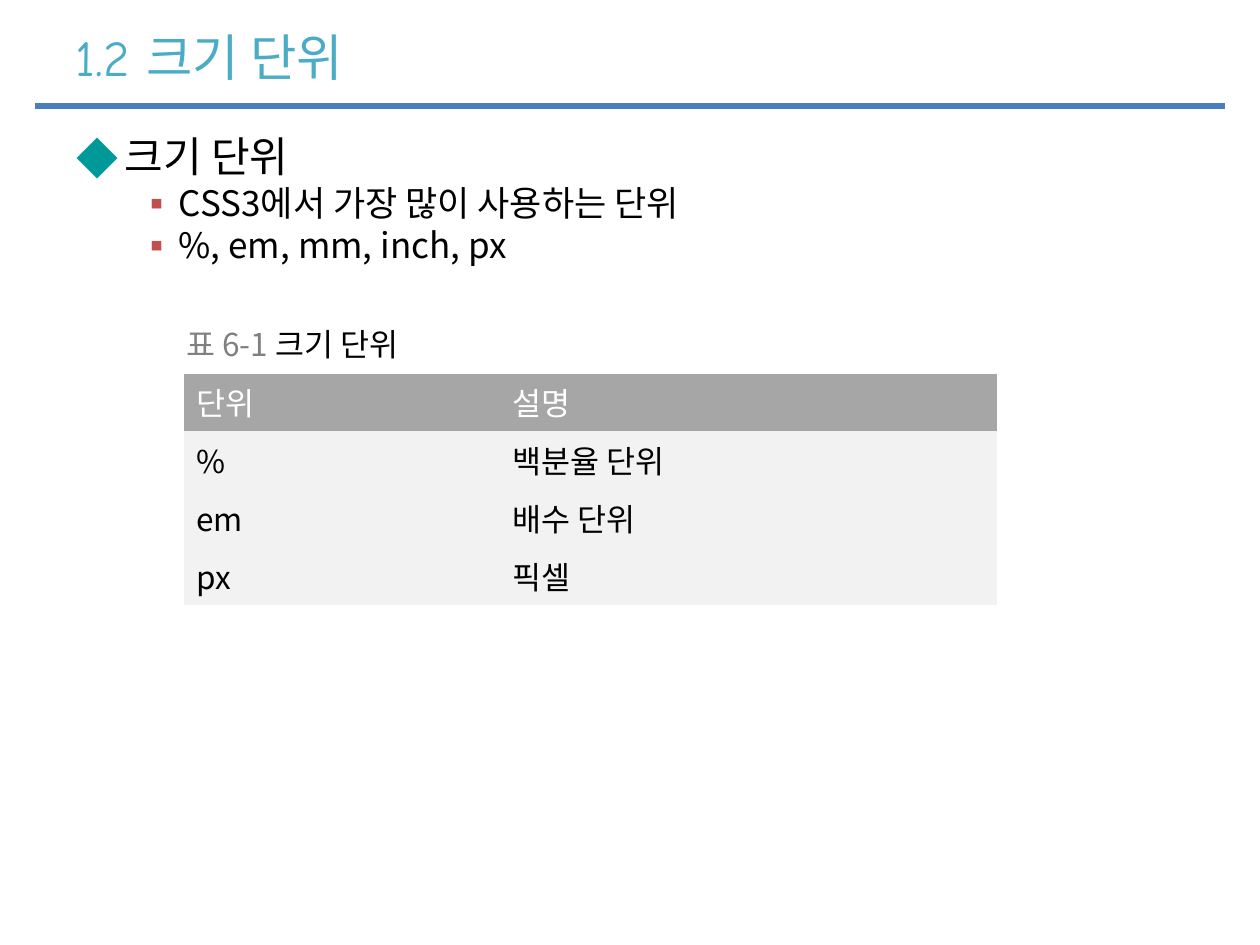
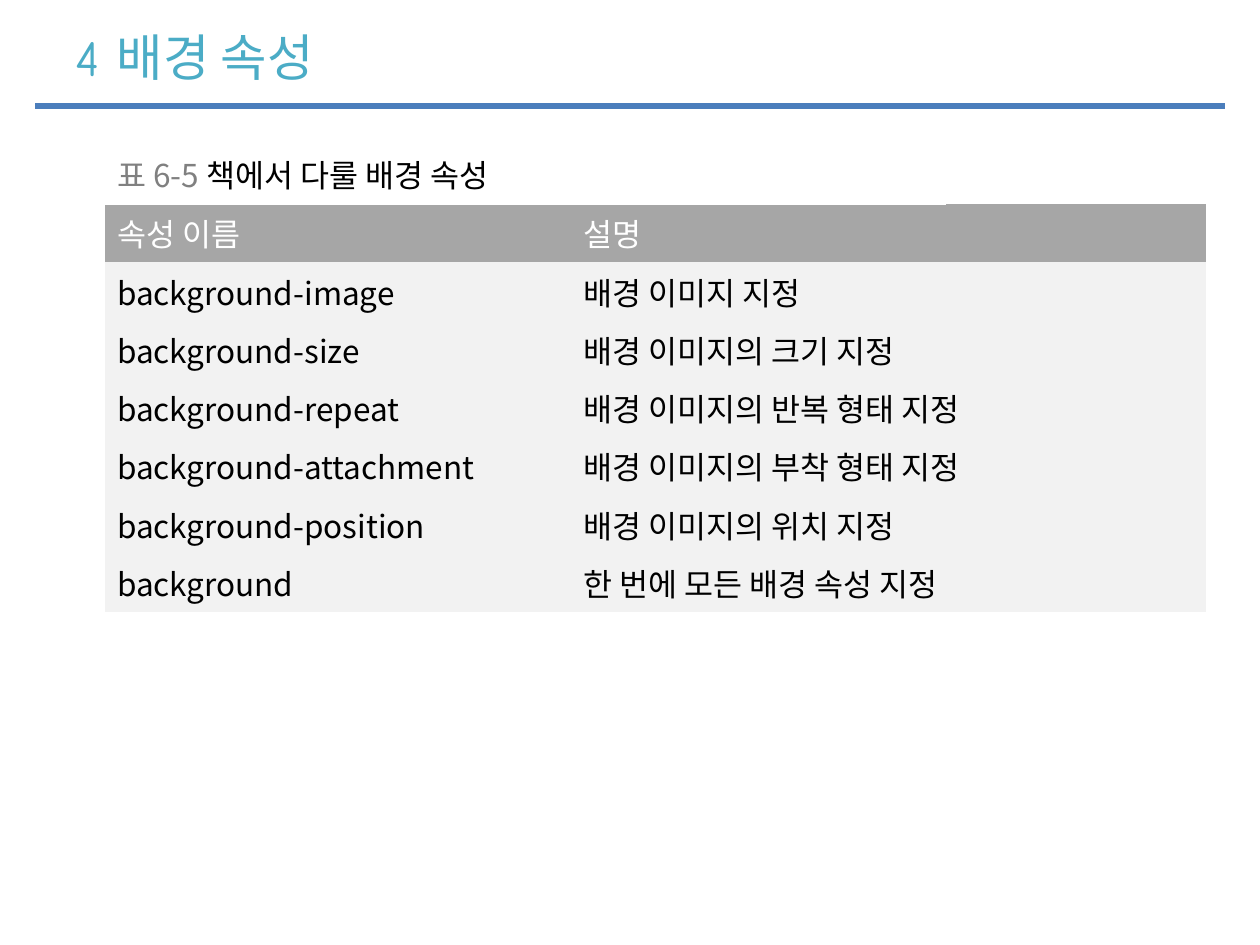
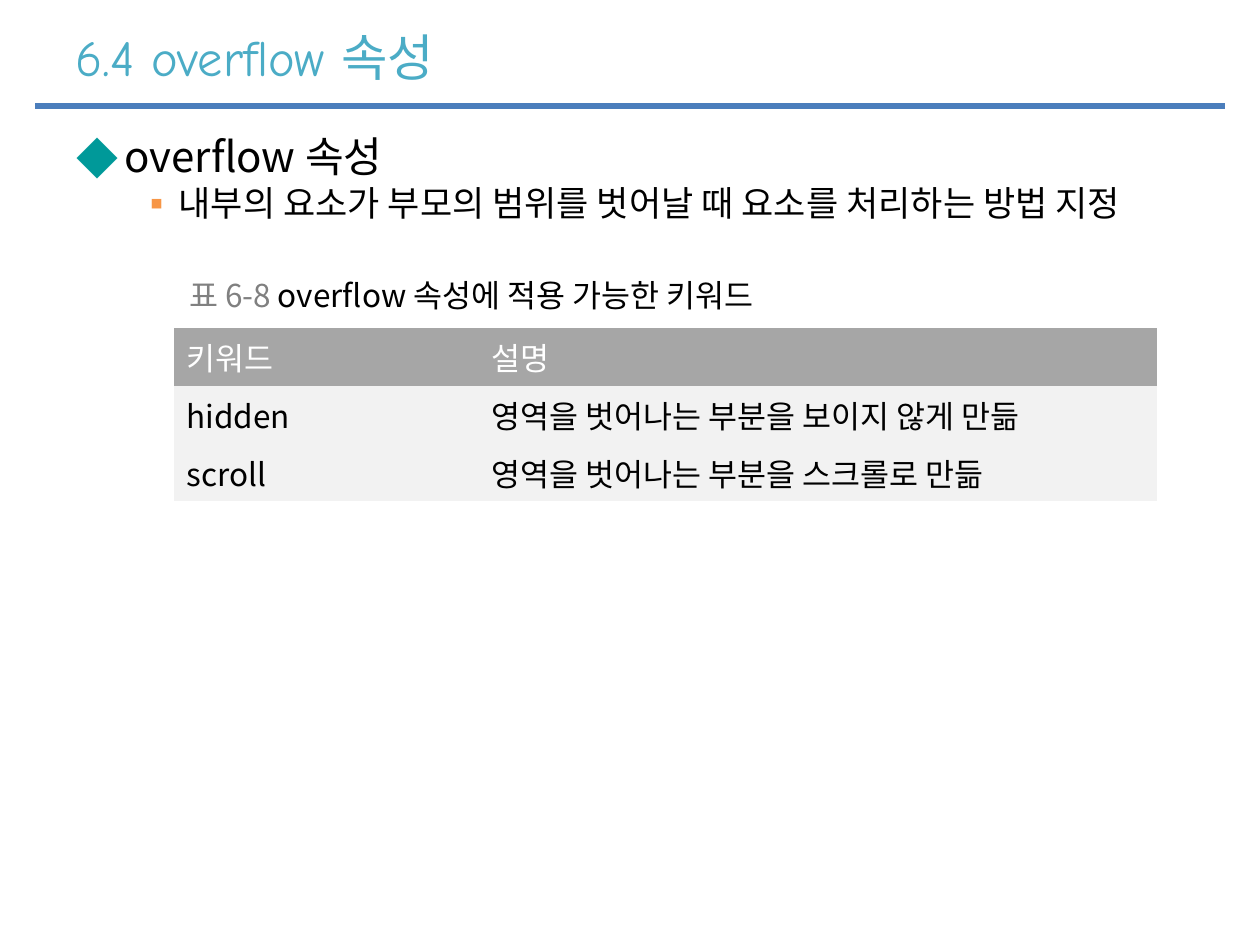
"""Build three slides on CSS units, backgrounds and overflow."""
from lxml.etree import SubElement as Sub
from pptx import Presentation
from pptx.dml.color import RGBColor
from pptx.enum.shapes import MSO_CONNECTOR as Conn
from pptx.enum.text import MSO_ANCHOR as Anchor, MSO_AUTO_SIZE as Fit, PP_ALIGN as Align
from pptx.oxml.ns import qn
from pptx.util import Inches, Pt

WIDE, HIGH = 10, 7.5
HEAD, SANS = "Comic Neue", "Noto Sans CJK KR"
BLUE, CYAN, TEAL = "4B7EBC", "4BACC6", "009999"
RED, ORANGE = "C0504D", "F79646"
BLACK, WHITE, GRAY, BAND, PALE = "000000", "FFFFFF", "808080", "A6A6A6", "F2F2F2"
PLAIN = "{2D5ABB26-0587-4C30-8999-92F81FD0307C}"
ROW = 0.46
EDGES = {"a:lnL": 1, "a:lnR": 1, "a:lnT": 1, "a:lnB": 3}
LEVELS = [("◆", 0.38, -0.38, 24), ("▪", 0.81, -0.31, 20)]

SLIDES = [
    {
        "title": "1.2 크기 단위",
        "points": ["크기 단위", "CSS3에서 가장 많이 사용하는 단위", "%, em, mm, inch, px"],
        "mark": RED,
        "label": ("표 6-1 ", "크기 단위", 1.38, 2.49),
        "at": (1.46, 2.96),
        "cols": (2.51, 3.94),
        "rows": [("단위", "설명"), ("%", "백분율 단위"), ("em", "배수 단위"), ("px", "픽셀")],
    },
    {
        "title": "4 배경 속성",
        "points": [],
        "mark": RED,
        "label": ("표 6-5 ", "책에서 다룰 배경 속성", 0.83, 1.15),
        "at": (0.83, 1.62),
        "cols": (3.7, 5.04),
        "rows": [
            ("속성 이름", "설명"),
            ("background-image", "배경 이미지 지정"),
            ("background-size", "배경 이미지의 크기 지정"),
            ("background-repeat", "배경 이미지의 반복 형태 지정"),
            ("background-attachment", "배경 이미지의 부착 형태 지정"),
            ("background-position", "배경 이미지의 위치 지정"),
            ("background", "한 번에 모든 배경 속성 지정"),
        ],
    },
    {
        "title": "6.4 overflow 속성",
        "points": ["overflow 속성", "내부의 요소가 부모의 범위를 벗어날 때 요소를 처리하는 방법 지정"],
        "mark": ORANGE,
        "label": ("표 6-8 ", "overflow 속성에 적용 가능한 키워드", 1.4, 2.1),
        "at": (1.38, 2.6),
        "cols": (2.42, 5.38),
        "rows": [
            ("키워드", "설명"),
            ("hidden", "영역을 벗어나는 부분을 보이지 않게 만듦"),
            ("scroll", "영역을 벗어나는 부분을 스크롤로 만듦"),
        ],
    },
]


def rgb(code):
    return RGBColor.from_string(code)


def box(*sides):
    return [Inches(side) for side in sides]


def style(para, size, color, face=SANS):
    for run in para.runs:
        run.font.size = Pt(size)
        run.font.name = face
        run.font.color.rgb = rgb(color)
        Sub(run.font._element, qn("a:ea"), typeface=SANS)


def add_rule(slide, layout):
    y = 0.84
    rule = slide.shapes.add_connector(Conn.STRAIGHT, *box(0.28, y, WIDE - 0.28, y))
    rule.line.color.rgb = rgb(BLUE)
    rule.line.width = Pt(3.5)
    Sub(rule.element.spPr, qn("a:effectLst"))
    layout.shapes.element.append(rule.element)


def set_title(slide, text):
    title = slide.shapes.title
    title.left, title.top, title.width, title.height = box(0.5, 0.13, WIDE - 1, 0.63)
    frame = title.text_frame
    frame.text = text
    frame.auto_size = Fit.NONE
    frame.vertical_anchor = Anchor.MIDDLE
    para = frame.paragraphs[0]
    para.alignment = Align.LEFT
    style(para, 28.8, CYAN, HEAD)


def add_points(slide, points, mark):
    frame = slide.shapes.add_textbox(*box(0.51, 0.99, 9.21, 6.3)).text_frame
    frame.word_wrap = True
    frame.text = "\n".join(points)
    for spot, para in enumerate(frame.paragraphs):
        para.level = min(spot, 1)
        sign, left, hang, size = LEVELS[para.level]
        props = para._p.get_or_add_pPr()
        props.set("marL", str(Inches(left)))
        props.set("indent", str(Inches(hang)))
        tint = Sub(props, qn("a:buClr"))
        Sub(tint, qn("a:srgbClr"), val=mark if spot else TEAL)
        Sub(props, qn("a:buFont"), typeface=SANS)
        Sub(props, qn("a:buChar"), char=sign)
        style(para, size, BLACK)


def add_grid(slide, spot, cols, count):
    frame = slide.shapes.add_table(count, len(cols), *box(*spot, sum(cols), count * ROW))
    for tag in frame.element.iter(qn("a:tableStyleId")):
        tag.text = PLAIN
    for col, width in zip(frame.table.columns, cols):
        col.width = Inches(width)
    return frame.table


def paint(cell, color):
    cell.fill.solid()
    cell.fill.fore_color.rgb = rgb(color)


def add_data(slide, spot, cols, rows):
    grid = add_grid(slide, spot, cols, len(rows))
    for y, row in enumerate(rows):
        for x, text in enumerate(row):
            cell = grid.cell(y, x)
            cell.text = text
            paint(cell, PALE if y else BAND)
            style(cell.text_frame.paragraphs[0], 18, BLACK if y else WHITE)


def add_label(slide, tag, text, *spot):
    cell = add_grid(slide, spot, [6.67], 1).cell(0, 0)
    para = cell.text_frame.paragraphs[0]
    para.text = tag
    para.add_run().text = text
    style(para, 18, BLACK)
    para.runs[0].font.color.rgb = rgb(GRAY)
    props = cell._tc.get_or_add_tcPr()
    for edge, width in EDGES.items():
        line = Sub(props, qn(edge), w=str(Pt(width)))
        Sub(Sub(line, qn("a:solidFill")), qn("a:srgbClr"), val=WHITE)
    paint(cell, WHITE)


def main():
    deck = Presentation()
    deck.slide_width, deck.slide_height = box(WIDE, HIGH)
    layout = deck.slide_layouts[5]
    for spot, data in enumerate(SLIDES):
        slide = deck.slides.add_slide(layout)
        if spot == 0:
            add_rule(slide, layout)
        set_title(slide, data["title"])
        if data["points"]:
            add_points(slide, data["points"], data["mark"])
        add_data(slide, data["at"], data["cols"], data["rows"])
        add_label(slide, *data["label"])
    deck.save("out.pptx")


if __name__ == "__main__":
    main()
